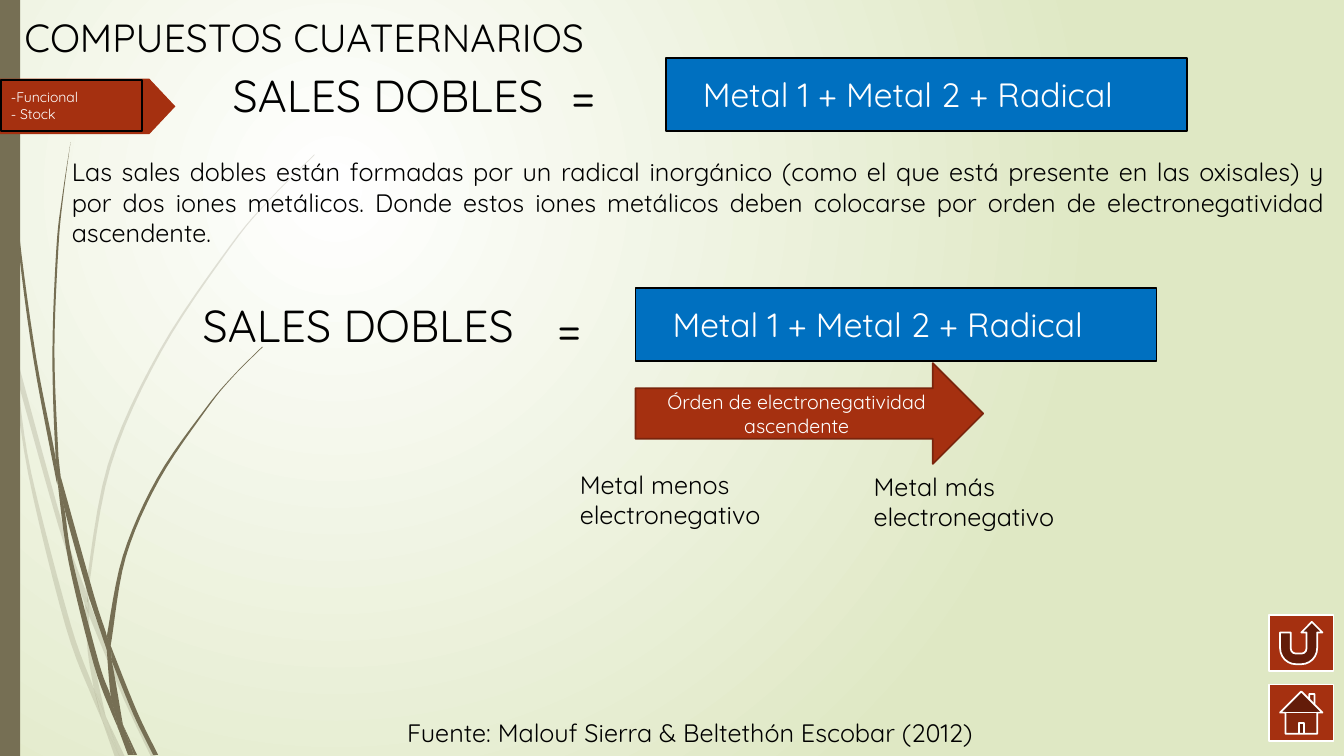
from lxml import etree
from pptx import Presentation
from pptx import util as u
from pptx.dml.color import RGBColor
from pptx.enum import shapes, text
from pptx.oxml import parse_xml
from pptx.oxml.ns import nsdecls, qn

Pt = u.Pt
FONT = "Quicksand"
BLACK = RGBColor(0x00, 0x00, 0x00)
WHITE = RGBColor(0xFF, 0xFF, 0xFF)
GREEN = RGBColor(0xDF, 0xE8, 0xC4)
OLIVE = RGBColor(0x76, 0x6F, 0x54)
RUST = RGBColor(0xA5, 0x30, 0x10)
DARK_RUST = RGBColor(0x7A, 0x24, 0x0C)
BLUE = RGBColor(0x00, 0x70, 0xC0)
LEFT, CENTER, JUSTIFY = (text.PP_ALIGN.LEFT, text.PP_ALIGN.CENTER,
                         text.PP_ALIGN.JUSTIFY)
PRESET = shapes.MSO_SHAPE


def write(shape, lines, size, color, align=LEFT, anchor=text.MSO_ANCHOR.TOP):
    frame = shape.text_frame
    frame.word_wrap = True
    frame.vertical_anchor = anchor
    for number, line in enumerate(lines):
        paragraph = frame.add_paragraph() if number else frame.paragraphs[0]
        paragraph.alignment = align
        run = paragraph.add_run()
        run.text = line
        run.font.name, run.font.size = FONT, Pt(size)
        run.font.color.rgb = color


def smooth(edge, steps=6):
    """Catmull-Rom curve through the points of one stalk edge."""
    padded = [edge[0], *edge, edge[-1]]
    curve = [edge[0]]
    for a, b, c, d in zip(padded, padded[1:], padded[2:], padded[3:]):
        for step in range(1, steps + 1):
            t = step / steps
            curve.append(tuple(
                (2 * q + (r - p) * t + (2 * p - 5 * q + 4 * r - s) * t ** 2
                 + (3 * q - p - 3 * r + s) * t ** 3) / 2
                for p, q, r, s in zip(a, b, c, d)))
    return curve


presentation = Presentation()
presentation.slide_width, presentation.slide_height = Pt(960), Pt(540)
slide = presentation.slides.add_slide(presentation.slide_layouts[5])

# Background: radial gradient from white to pale green
background = slide.background.fill
background.gradient()
for stop, color in zip(background.gradient_stops, (WHITE, GREEN)):
    stop.color.rgb = color
linear = next(slide.background._cSld.iter(qn("a:lin")))
linear.getparent().replace(linear, parse_xml(
    f'<a:path {nsdecls("a")} path="circle"><a:fillToRect l="50000" t="50000" '
    'r="100000" b="100000"/></a:path>'))

# Grass stalks in pieces: edge going down, edge going back up
GRID = 0.72  # points per unit of the stalk coordinates
pale_pieces = [
    ([(0, 282), (9, 322), (11, 350)], [(10, 344), (0, 299)]),
    ([(14, 345), (62, 520), (85, 586)], [(84, 599), (58, 522), (17, 376)]),
    ([(88, 596), (127, 692), (155, 751)], [(150, 751), (123, 694), (88, 610)]),
    ([(105, 711), (124, 751)], [(119, 751)]),
    ([(11, 350), (17, 376), (31, 469), (70, 619), (93, 683), (101, 714)],
     [(92, 693), (65, 621), (28, 470), (11, 350)]),
    ([(84, 599), (88, 610), (91, 646), (105, 711)], [(93, 683), (87, 646), (84, 599)]),
    ([(312, 153), (268, 197), (228, 244), (158, 348), (107, 461), (85, 584)],
     [(88, 596), (88, 584), (110, 462), (160, 349), (229, 245), (268, 198), (312, 154)]),
    ([(101, 714), (119, 751)], [(114, 751)]),
    ([(85, 586), (88, 596), (88, 610)], [(84, 599)]),
    ([(93, 683), (105, 711), (119, 751)], [(101, 714)]),
]
dark_pieces = [
    ([(4, 0), (5, 48), (8, 109), (19, 232), (36, 355), (55, 453), (57, 481)],
     [(56, 477), (33, 355), (17, 233), (7, 110), (3, 0)]),
    ([(60, 472), (93, 590), (106, 631), (106, 645)], [(88, 592), (64, 505), (60, 472)]),
    ([(110, 641), (136, 706), (157, 749)], [(152, 749), (132, 708), (111, 656)]),
    ([(57, 477), (64, 505), (72, 556), (98, 657), (110, 691), (117, 722)],
     [(111, 708), (93, 659), (68, 557), (57, 477)]),
    ([(70, 141), (62, 193), (56, 245), (52, 349), (55, 449), (60, 472)],
     [(58, 453), (54, 349), (58, 245), (63, 193), (70, 141)]),
    ([(122, 719), (136, 749)], [(133, 749)]),
    ([(55, 449), (60, 472), (64, 505)], [(57, 477)]),
    ([(260, 344), (231, 373), (204, 405), (156, 474), (122, 551), (106, 631)],
     [(110, 641), (111, 633), (125, 552), (158, 476), (205, 406), (231, 374), (261, 344)]),
    ([(117, 722), (131, 749)], [(127, 749)]),
    ([(106, 645), (111, 656), (122, 719)], [(116, 706), (110, 691), (106, 645)]),
    ([(106, 631), (110, 641), (111, 656)], [(106, 645)]),
    ([(110, 691), (122, 719), (133, 749)], [(130, 749), (117, 722)]),
]
for pieces, opacity in ((pale_pieces, 20), (dark_pieces, 100)):
    for down, up in pieces:
        outline = [(Pt(x * GRID), Pt(y * GRID)) for x, y in smooth(down) + smooth(up)]
        builder = slide.shapes.build_freeform(*outline[0], scale=1.0)
        builder.add_line_segments(outline[1:], close=True)
        stalk = builder.convert_to_shape()
        stalk.shadow.inherit = False
        stalk.fill.solid()
        stalk.fill.fore_color.rgb = OLIVE
        stalk.line.fill.background()
        if opacity < 100:
            fill_color = stalk.fill._xPr.find(qn("a:solidFill"))[0]
            etree.SubElement(fill_color, qn("a:alpha")).set("val", str(opacity * 1000))

# Filled shapes: preset, box, fill, line, lines of text, size, align, left inset
FORMULA = ["Metal 1 + Metal 2 + Radical"]
filled = [
    (PRESET.RECTANGLE, (0, 0, 14.4, 540), OLIVE, None, [], 0, LEFT, 7.2),
    (PRESET.PENTAGON, (0, 56.2, 125.3, 39.6), RUST, None, [], 0, LEFT, 7.2),
    (PRESET.RECTANGLE, (0.7, 56.9, 100.8, 36.7), RUST, BLACK,
     ["-Funcional", "- Stock"], 10, LEFT, 7.2),
    (PRESET.RECTANGLE, (475.5, 41.3, 372.2, 52.4), BLUE, BLACK, FORMULA, 24, LEFT, 26.5),
    (PRESET.RECTANGLE, (453.9, 205.6, 372.2, 52.4), BLUE, BLACK, FORMULA, 24, LEFT, 26.5),
    (PRESET.RIGHT_ARROW, (453.9, 259.4, 248.4, 72), RUST, DARK_RUST,
     ["Órden de electronegatividad ascendente"], 14, CENTER, 7.2),
    (PRESET.ACTION_BUTTON_RETURN, (906.5, 439.2, 46.1, 40.3), RUST, WHITE, [], 0, LEFT, 7.2),
    (PRESET.ACTION_BUTTON_HOME, (906.5, 488.9, 46.1, 40.3), RUST, WHITE, [], 0, LEFT, 7.2),
]
for preset, box, fill, line, lines, size, align, inset in filled:
    shape = slide.shapes.add_shape(preset, *map(Pt, box))
    shape.shadow.inherit = False
    shape.fill.solid()
    shape.fill.fore_color.rgb = fill
    if line is None:
        shape.line.fill.background()
    else:
        shape.line.color.rgb = line
        shape.line.width = Pt(1.25)
    if preset == PRESET.PENTAGON:
        shape.adjustments[0] = 0.47
    shape.text_frame.margin_left = Pt(inset)
    write(shape, lines, size, WHITE, align, text.MSO_ANCHOR.MIDDLE)

# Title
title = slide.shapes.title
title.left, title.top, title.width, title.height = map(Pt, (147.4, 44.6, 260, 33.1))
write(title, ["SALES DOBLES"], 32, BLACK, CENTER)

# Plain text: box, wording, size, align
labels = [
    ((10.4, 5.8, 873.4, 53.3), "COMPUESTOS CUATERNARIOS", 28, LEFT),
    ((358.1, 41.8, 117.4, 53.3), "=", 36, CENTER),
    ((44.2, 108.3, 908.6, 85), "Las sales dobles están formadas por un radical inorgánico "
     "(como el que está presente en las oxisales) y por dos iones metálicos. Donde estos "
     "iones metálicos deben colocarse por orden de electronegatividad ascendente.",
     18, JUSTIFY),
    ((126, 208.8, 260, 33.1), "SALES DOBLES", 32, CENTER),
    ((348.5, 208.1, 117.4, 53.3), "=", 36, CENTER),
    ((407.1, 331.5, 161.3, 72), "Metal menos electronegativo", 18, LEFT),
    ((617, 333.2, 161.3, 72), "Metal más electronegativo", 18, LEFT),
    ((283.7, 508.8, 494.6, 28.8), "Fuente: Malouf Sierra & Beltethón Escobar (2012)",
     18, LEFT),
]
for box, wording, size, align in labels:
    label = slide.shapes.add_textbox(*map(Pt, box))
    write(label, [wording], size, BLACK, align)

presentation.save("out.pptx")
